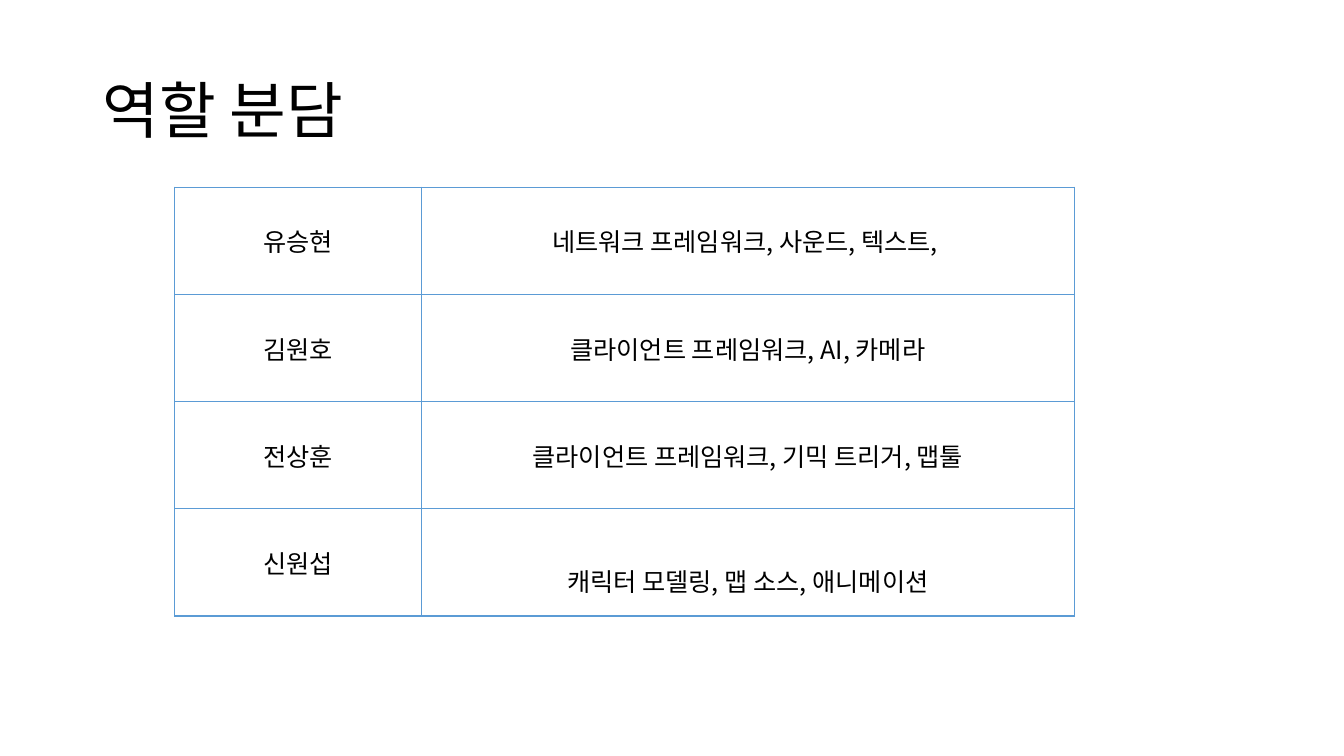
from lxml.etree import SubElement
from pptx import Presentation
from pptx.dml.color import RGBColor
from pptx.enum.text import MSO_ANCHOR as Anchor, PP_ALIGN as Align
from pptx.oxml.ns import qn
from pptx.util import Cm, Pt

FONT = "Noto Sans CJK KR"


def color(code):
    return RGBColor.from_string(code)


def write(para, text, size):
    run = para.add_run()
    run.text = text
    run.font.size = Pt(size)
    run.font.name = FONT
    run.font.color.rgb = color("000000")
    SubElement(run.font._element, qn("a:ea"), typeface=FONT)


deck = Presentation()
deck.slide_width = Cm(33.87)
deck.slide_height = Cm(19.05)
slide = deck.slides.add_slide(deck.slide_layouts[5])

title = slide.shapes.title
title.left, title.top = Cm(2.33), Cm(1.01)
title.width, title.height = Cm(29.21), Cm(3.68)
frame = title.text_frame
frame.word_wrap = True
frame.vertical_anchor = Anchor.MIDDLE
head = frame.paragraphs[0]
head.alignment = Align.LEFT
head.line_spacing = 0.9
write(head, "역할 분담", 44)

roles = [
    ("유승현", "네트워크 프레임워크, 사운드, 텍스트, "),
    ("김원호", "클라이언트 프레임워크, AI, 카메라"),
    ("전상훈", "클라이언트 프레임워크, 기믹 트리거, 맵툴"),
    ("신원섭", "캐릭터 모델링, 맵 소스, 애니메이션"),
]
table = slide.shapes.add_table(
    len(roles), 2, Cm(4.4), Cm(4.72), Cm(22.67), Cm(10.8)
).table
table.first_row = False
table.horz_banding = False
table.columns[0].width = Cm(6.22)
table.columns[1].width = Cm(16.45)

for row, pair in enumerate(roles):
    table.rows[row].height = Cm(2.7)
    for col, text in enumerate(pair):
        cell = table.cell(row, col)
        cell.vertical_anchor = Anchor.MIDDLE
        cell.margin_left = cell.margin_right = Cm(0.33)
        cell.margin_top = cell.margin_bottom = Cm(0.13)
        props = cell._tc.get_or_add_tcPr()
        for side in ("a:lnL", "a:lnR", "a:lnT", "a:lnB"):
            line = SubElement(props, qn(side), w=str(Pt(1)))
            fill = SubElement(line, qn("a:solidFill"))
            SubElement(fill, qn("a:srgbClr"), val="5B9BD5")
        cell.fill.solid()
        cell.fill.fore_color.rgb = color("FFFFFF")
        para = cell.text_frame.paragraphs[0]
        para.alignment = Align.CENTER
        write(para, text, 18)

table.cell(3, 1).margin_top = Cm(1.04)

deck.save("out.pptx")
